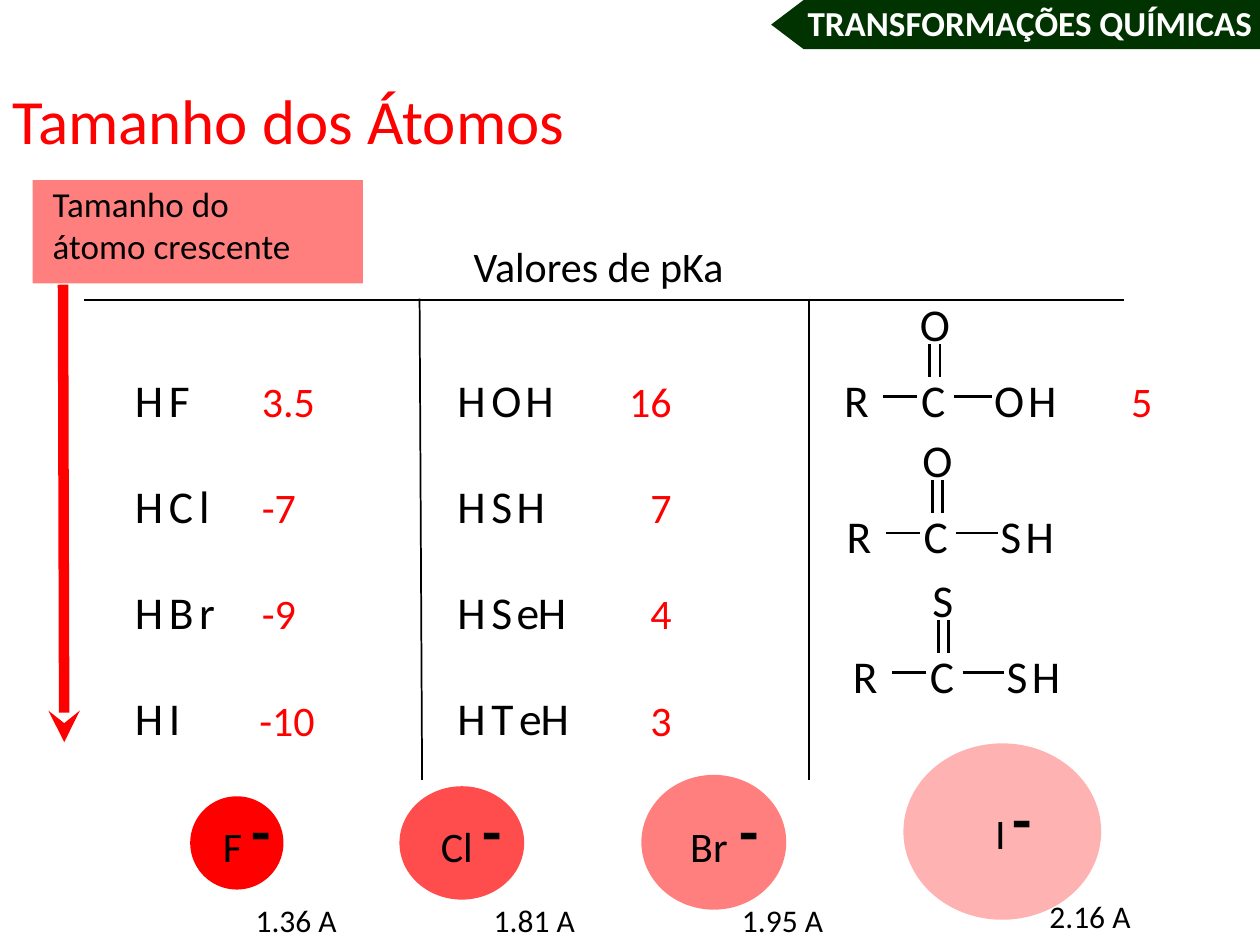
from lxml import etree
from pptx import Presentation
from pptx import util as u
from pptx.dml.color import RGBColor
from pptx.enum import shapes, text
from pptx.oxml.ns import qn

RED, BLACK, WHITE, GREEN = "FF0000", "000000", "FFFFFF", "003300"
LETTER_WIDTH = {"H": 0.23, "O": 0.24, "R": 0.2, "C": 0.19, "S": 0.17, "e": 0.18,
                "T": 0.18, "F": 0.17, "l": 0.08, "B": 0.2, "r": 0.13, "I": 0.09}
LETTER_STEP = {"H": 0.27, "O": 0.27, "S": 0.2, "e": 0.17, "T": 0.22, "C": 0.24, "B": 0.24}


def rgb(value):
    return RGBColor.from_string(value)


class Deck:
    font = "Calibri"

    def __init__(self, prs):
        self.s = prs.slides.add_slide(prs.slide_layouts[6])

    def text(self, x, y, w, h, lines, size, color=BLACK, bold=False,
             align=text.PP_ALIGN.LEFT, inset=True):
        tf = self.s.shapes.add_textbox(*map(u.Inches, (x, y, w, h))).text_frame
        tf.word_wrap = False
        if not inset:
            tf.margin_left = tf.margin_right = tf.margin_top = tf.margin_bottom = 0
        for i, line in enumerate(lines.split("\n")):
            p = tf.paragraphs[0] if i == 0 else tf.add_paragraph()
            p.text = line
            p.alignment = align
            p.font.name, p.font.size, p.font.bold = self.font, u.Pt(size), bold
            p.font.color.rgb = rgb(color)

    def shape(self, kind, x, y, w, h, color, alpha=100):
        sp = self.s.shapes.add_shape(kind, *map(u.Inches, (x, y, w, h)))
        sp.shadow.inherit = False
        sp.fill.solid()
        sp.fill.fore_color.rgb = rgb(color)
        sp.line.fill.background()
        if alpha < 100:
            clr = sp._element.spPr.find(qn("a:solidFill")).find(qn("a:srgbClr"))
            etree.SubElement(clr, qn("a:alpha"), val=str(alpha * 1000))
        return sp

    def line(self, x1, y1, x2, y2, color=BLACK, width=1.0, arrow=False):
        c = self.s.shapes.add_connector(shapes.MSO_CONNECTOR.STRAIGHT,
                                        *map(u.Inches, (x1, y1, x2, y2)))
        c.line.color.rgb = rgb(color)
        c.line.width = u.Pt(width)
        if arrow:
            etree.SubElement(c.line._get_or_add_ln(), qn("a:tailEnd"), type="stealth")
        etree.SubElement(c._element.spPr, qn("a:effectLst"))

    def formula(self, x, y, symbols):
        """Letters set one by one with open spacing."""
        for ch in symbols:
            self.text(x, y, LETTER_WIDTH[ch], 0.44, ch, 26, inset=False)
            x += LETTER_STEP.get(ch, 0)

    def acid(self, x, y, top, end):
        """R-C(=top)-end, with x and y at the R."""
        carbon = x + 0.61
        end_x = x + (1.19 if end == "OH" else 1.22)
        self.formula(x, y, "R")
        self.formula(carbon, y, "C")
        self.formula(x + (0.6 if top == "O" else 0.63), y - 0.6, top)
        self.formula(end_x, y, end)
        for x1, x2 in ((x + 0.31, x + 0.58), (carbon + 0.26, end_x - 0.02)):
            self.line(x1, y + 0.2, x2, y + 0.2, width=1.63)
        for dx in (0.07, 0.15):
            self.line(carbon + dx, y + 0.04, carbon + dx, y - 0.22, width=1.63)


def main():
    prs = Presentation()
    prs.slide_width, prs.slide_height = u.Inches(10), u.Inches(7.5)
    d = Deck(prs)
    kind = shapes.MSO_SHAPE

    # Header band and title
    band = d.shape(kind.PENTAGON, 6.12, 0, 3.91, 0.39, GREEN)
    band.rotation = 180
    band.adjustments[0] = 0.66
    d.text(6.29, -0.04, 3.77, 0.44, "TRANSFORMAÇÕES QUÍMICAS", 20, WHITE, True,
           text.PP_ALIGN.CENTER)
    d.text(0, 0.6, 4.63, 0.71, "Tamanho dos Átomos", 36, RED)

    # Size label and arrow
    d.shape(kind.RECTANGLE, 0.26, 1.43, 2.62, 0.82, RED, 50)
    d.text(0.32, 1.4, 2.11, 0.77, "Tamanho do\nátomo crescente", 20)
    d.line(0.5, 2.26, 0.51, 5.89, RED, 6, arrow=True)

    # Table rules and heading
    d.line(6.42, 2.37, 6.42, 6.19)
    d.line(3.33, 2.37, 3.35, 6.19)
    d.line(0.67, 2.38, 8.92, 2.38)
    d.text(3.66, 1.86, 2.21, 0.51, "Valores de pKa", 24)

    # Hydrogen halides and chalcogenides with their pKa
    rows = [("HF", "3.5", 0.63, "HOH", "16"), ("HCl", "-7", 0.48, "HSH", "7"),
            ("HBr", "-9", 0.48, "HSeH", "4"), ("HI", "-10", 0.65, "HTeH", "3")]
    for i, (halide, pka, width, hydride, pka2) in enumerate(rows):
        y = 2.95 + 0.843 * i
        d.formula(1.07, y, halide)
        d.text(1.98 if i < 3 else 1.96, y - 0.02, width, 0.51, pka, 24, RED)
        d.formula(3.63, y, hydride)
        d.text(4.89, y - 0.02, 0.54, 0.51, pka2, 24, RED, align=text.PP_ALIGN.RIGHT)

    # Carboxylic acid and its sulphur analogues
    for x, y, top, end in ((6.7, 2.95, "O", "OH"), (6.72, 4.03, "O", "SH"),
                           (6.77, 5.14, "S", "SH")):
        d.acid(x, y, top, end)
    d.text(8.88, 2.93, 0.37, 0.51, "5", 24, RED)

    # Ions: circle, opacity, symbol, charge and radius
    ions = [
        ("F", (1.51, 6.32, 0.74, 0.74), 100, (1.67, 6.46, 0.36), (1.9, 6.23), "1.36 A", (1.93, 7.1)),
        ("Cl", (3.17, 6.24, 0.99, 0.9), 70, (3.4, 6.46, 0.46), (3.73, 6.23), "1.81 A", (3.82, 7.1)),
        ("Br", (5.09, 6.15, 1.15, 1.07), 50, (5.38, 6.46, 0.5), (5.77, 6.23), "1.95 A", (5.79, 7.1)),
        ("I", (7.17, 5.9, 1.57, 1.4), 30, (7.8, 6.36, 0.29), (7.94, 6.14), "2.16 A", (8.23, 7.07)),
    ]
    for symbol, circle, alpha, symbol_at, charge_at, radius, radius_at in ions:
        d.shape(kind.OVAL, *circle, RED, alpha)
        d.text(*symbol_at, 0.51, symbol, 24)
        d.text(*charge_at, 0.36, 0.71, "-", 36, bold=True)
        d.text(*radius_at, 0.85, 0.4, radius, 18)

    prs.save("out.pptx")


if __name__ == "__main__":
    main()
